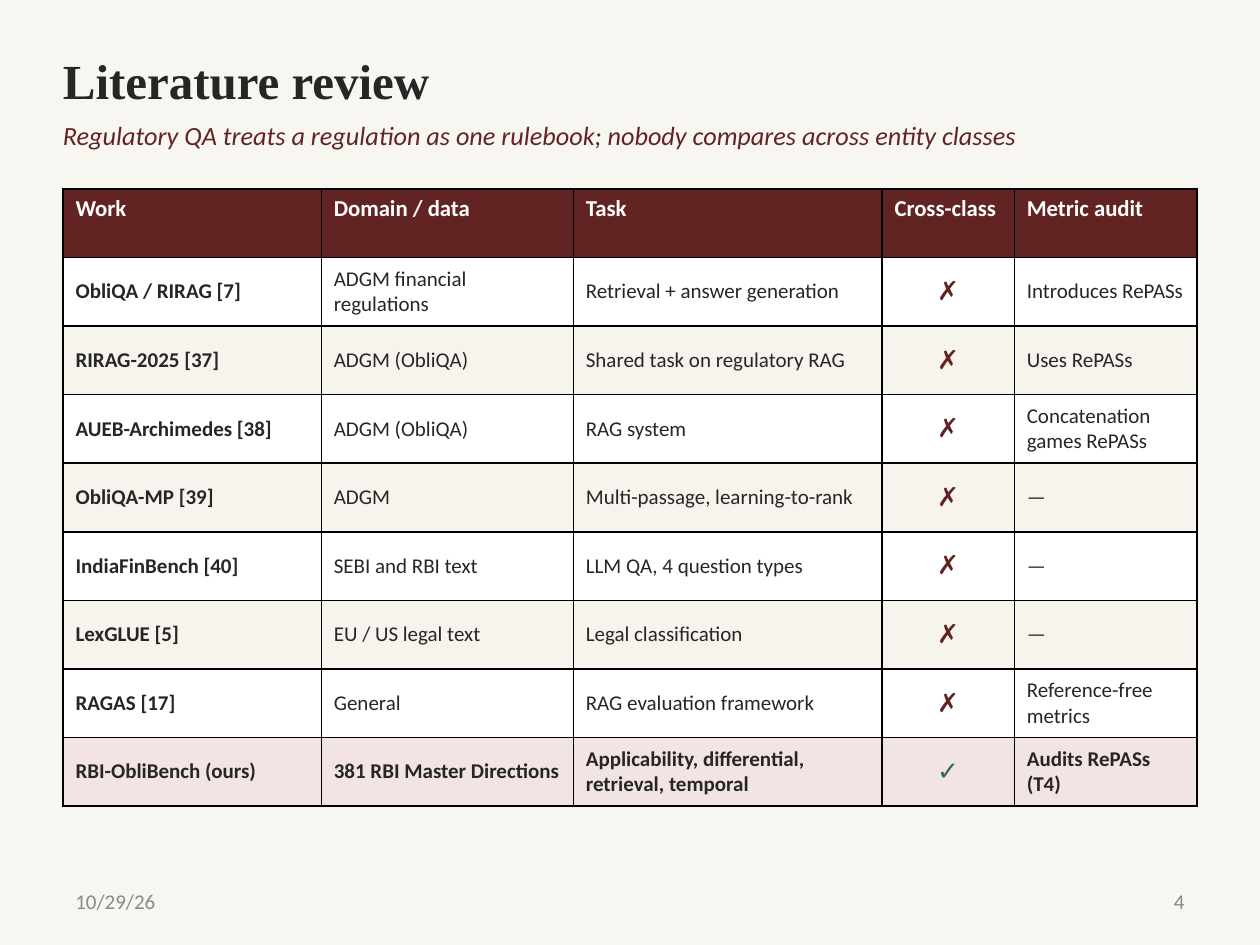
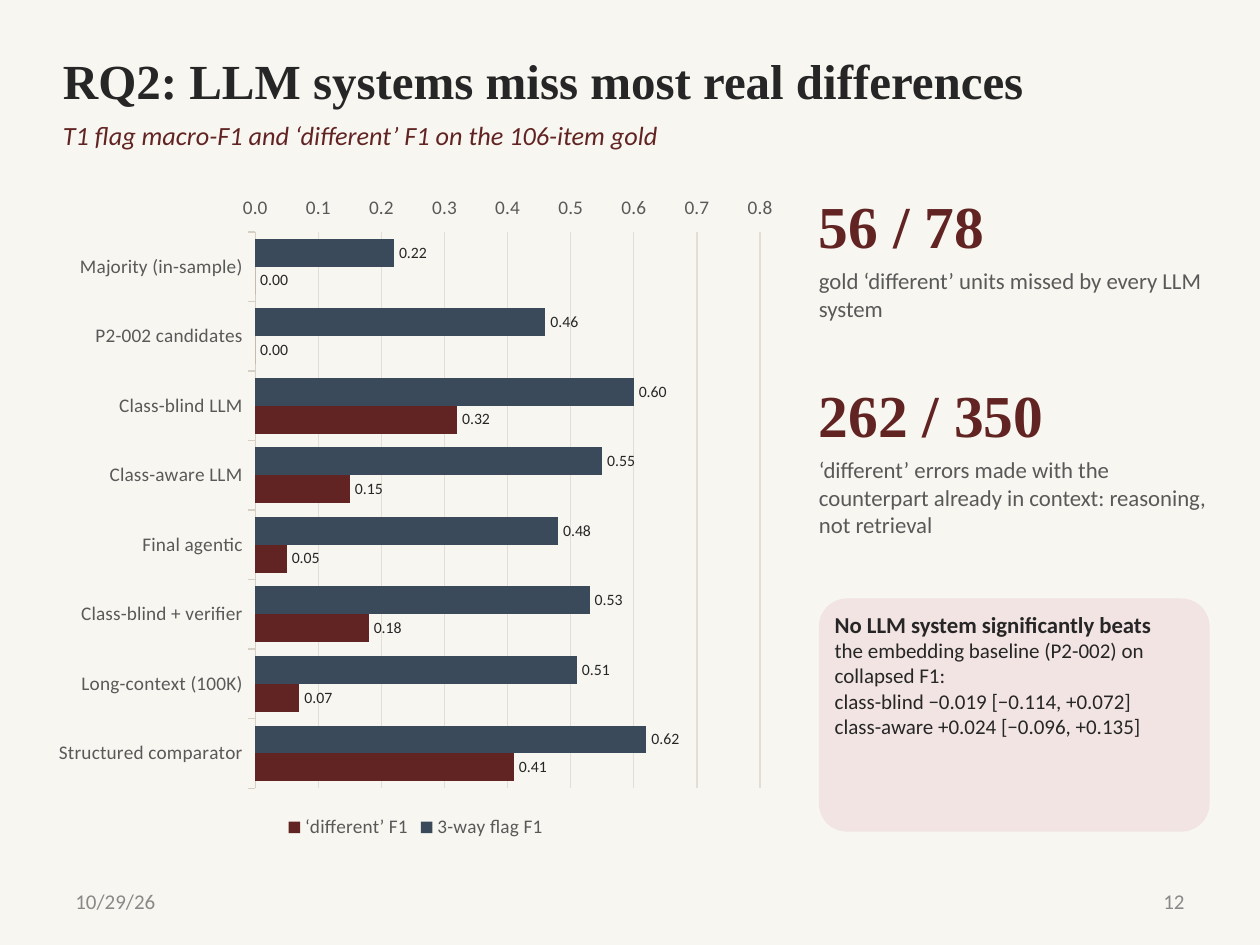
from lxml import etree
from pptx import Presentation
from pptx.chart.data import CategoryChartData
from pptx.dml.color import RGBColor
from pptx.enum.chart import (XL_CHART_TYPE, XL_LABEL_POSITION, XL_LEGEND_POSITION,
                             XL_TICK_LABEL_POSITION, XL_TICK_MARK)
from pptx.enum.shapes import MSO_SHAPE
from pptx.enum.text import MSO_ANCHOR, PP_ALIGN
from pptx.oxml.ns import qn
from pptx.util import Inches, Pt

LEFT, CENTER, RIGHT = PP_ALIGN.LEFT, PP_ALIGN.CENTER, PP_ALIGN.RIGHT
TOP, MIDDLE = MSO_ANCHOR.TOP, MSO_ANCHOR.MIDDLE
OUTSIDE, OUT_END = XL_TICK_MARK.OUTSIDE, XL_LABEL_POSITION.OUTSIDE_END

PAPER = RGBColor(0xF7, 0xF6, 0xF0)
MAROON = RGBColor(0x62, 0x24, 0x23)
SLATE = RGBColor(0x3B, 0x4A, 0x5A)
INK = RGBColor(0x26, 0x26, 0x26)
GRAY = RGBColor(0x59, 0x59, 0x59)
FOOTER_GRAY = RGBColor(0x89, 0x89, 0x89)
WHITE = RGBColor(0xFF, 0xFF, 0xFF)
CREAM = RGBColor(0xF7, 0xF4, 0xEE)
ROSE = RGBColor(0xF1, 0xE4, 0xE2)
GREEN = RGBColor(0x2E, 0x6B, 0x4F)
AXIS_LINE = RGBColor(0xD6, 0xD0, 0xC4)
GRID_LINE = RGBColor(0xE2, 0xDE, 0xD5)
SANS, SERIF = "Calibri", "Times New Roman"


def write(tf, text, size=12, color=INK, font=SANS, bold=False, italic=False, align=LEFT):
    """Fill the empty first paragraph of tf, or add a new one after it."""
    p = tf.paragraphs[0]
    if p.runs:
        p = tf.add_paragraph()
    p.alignment = align
    r = p.add_run()
    r.text = text
    r.font.size, r.font.name = Pt(size), font
    r.font.bold, r.font.italic = bold, italic
    r.font.color.rgb = color


def text_box(s, box, text, margins=(0, 0), anchor=TOP, **fmt):
    """margins are the side and the top/bottom insets in inches."""
    tf = s.shapes.add_textbox(*map(Inches, box)).text_frame
    tf.word_wrap = True
    tf.vertical_anchor = anchor
    tf.margin_left = tf.margin_right = Inches(margins[0])
    tf.margin_top = tf.margin_bottom = Inches(margins[1])
    write(tf, text, **fmt)


prs = Presentation()
prs.slide_width, prs.slide_height = Inches(10), Inches(7.5)

# Shared frame: background, footer, title and subtitle
frames = [
    ("4", "Literature review",
     "Regulatory QA treats a regulation as one rulebook; nobody compares across entity classes"),
    ("12", "RQ2: LLM systems miss most real differences",
     "T1 flag macro-F1 and ‘different’ F1 on the 106-item gold"),
]
slides = []
for number, title, subtitle in frames:
    s = prs.slides.add_slide(prs.slide_layouts[6])
    s.background.fill.solid()
    s.background.fill.fore_color.rgb = PAPER
    for x, text, align in [(0.5, "10/29/26", LEFT), (7.17, number, RIGHT)]:
        text_box(s, (x, 6.95, 2.33, 0.4), text, margins=(0.1, 0.05), anchor=MIDDLE,
                 color=FOOTER_GRAY, align=align)
    text_box(s, (0.5, 0.32, 9, 0.62), title, margins=(0, 0.05), anchor=MIDDLE,
             size=28, font=SERIF, bold=True)
    text_box(s, (0.5, 0.95, 9, 0.42), subtitle, size=15, color=MAROON, italic=True)
    slides.append(s)
review, results = slides

# Literature table
rows = [
    ("Work", "Domain / data", "Task", "Cross-class", "Metric audit"),
    ("ObliQA / RIRAG [7]", "ADGM financial regulations", "Retrieval + answer generation",
     "✗", "Introduces RePASs"),
    ("RIRAG-2025 [37]", "ADGM (ObliQA)", "Shared task on regulatory RAG", "✗", "Uses RePASs"),
    ("AUEB-Archimedes [38]", "ADGM (ObliQA)", "RAG system", "✗", "Concatenation games RePASs"),
    ("ObliQA-MP [39]", "ADGM", "Multi-passage, learning-to-rank", "✗", "—"),
    ("IndiaFinBench [40]", "SEBI and RBI text", "LLM QA, 4 question types", "✗", "—"),
    ("LexGLUE [5]", "EU / US legal text", "Legal classification", "✗", "—"),
    ("RAGAS [17]", "General", "RAG evaluation framework", "✗", "Reference-free metrics"),
    ("RBI-ObliBench (ours)", "381 RBI Master Directions",
     "Applicability, differential, retrieval, temporal", "✓", "Audits RePASs (T4)"),
]
mark_colors = {"✗": MAROON, "✓": GREEN}
table = review.shapes.add_table(len(rows), len(rows[0]), Inches(0.5), Inches(1.5),
                                Inches(9), Inches(4.9)).table
for col, width in zip(table.columns, (2.05, 2, 2.45, 1.05, 1.45)):
    col.width = Inches(width)
last = len(rows) - 1
for i, row in enumerate(rows):
    row_fill = MAROON if i == 0 else ROSE if i == last else WHITE if i % 2 else CREAM
    for j, text in enumerate(row):
        cell = table.cell(i, j)
        tcPr = cell._tc.get_or_add_tcPr()
        for side in ("a:lnL", "a:lnR", "a:lnT", "a:lnB"):
            ln = etree.SubElement(tcPr, qn(side), w=str(Pt(1)))
            line_fill = etree.SubElement(ln, qn("a:solidFill"))
            etree.SubElement(line_fill, qn("a:srgbClr"), val="000000")
        cell.fill.solid()
        cell.fill.fore_color.rgb = row_fill
        if i == 0:
            write(cell.text_frame, text, size=13, color=WHITE, bold=True)
            continue
        cell.vertical_anchor = MIDDLE
        cell.margin_top = cell.margin_bottom = Inches(0.04)
        if text in mark_colors:
            write(cell.text_frame, text, size=15, color=mark_colors[text], bold=i == last,
                  align=CENTER)
        else:
            write(cell.text_frame, text, bold=j == 0 or i == last)

# F1 chart
data = CategoryChartData()
data.categories = ["Majority (in-sample)", "P2-002 candidates", "Class-blind LLM",
                   "Class-aware LLM", "Final agentic", "Class-blind + verifier",
                   "Long-context (100K)", "Structured comparator"]
data.add_series("3-way flag F1", (0.22, 0.46, 0.60, 0.55, 0.48, 0.53, 0.51, 0.62))
data.add_series("‘different’ F1", (0, 0, 0.32, 0.15, 0.05, 0.18, 0.07, 0.41))
chart = results.shapes.add_chart(XL_CHART_TYPE.BAR_CLUSTERED, Inches(0.35), Inches(1.45),
                                 Inches(5.9), Inches(5.25), data).chart
chart.has_title = False
chart.font.size, chart.font.name = Pt(11), SANS
chart.font.color.rgb = GRAY
chart.has_legend = True
chart.legend.position = XL_LEGEND_POSITION.BOTTOM
chart.legend.include_in_layout = False
chart.legend.font.size = Pt(11)

cat_axis, val_axis = chart.category_axis, chart.value_axis
cat_axis.reverse_order = True
cat_axis.has_major_gridlines = False
cat_axis.major_tick_mark = OUTSIDE
cat_axis.format.line.color.rgb = AXIS_LINE
cat_axis.format.line.width = Pt(0.75)
val_axis.minimum_scale, val_axis.maximum_scale, val_axis.major_unit = 0, 0.8, 0.1
val_axis.major_tick_mark = OUTSIDE
val_axis.tick_label_position = XL_TICK_LABEL_POSITION.LOW
val_axis.tick_labels.number_format = "0.0"
val_axis.tick_labels.number_format_is_linked = False
val_axis.format.line.fill.background()
val_axis.major_gridlines.format.line.color.rgb = GRID_LINE
val_axis.major_gridlines.format.line.width = Pt(0.75)

plot = chart.plots[0]
plot.gap_width, plot.overlap = 50, 0
plot.vary_by_categories = False
for series, color in zip(plot.series, (SLATE, MAROON)):
    series.format.fill.solid()
    series.format.fill.fore_color.rgb = color
    labels = series.data_labels
    labels.show_value = True
    labels.position = OUT_END
    labels.number_format, labels.number_format_is_linked = "0.00", False
    labels.font.size, labels.font.name = Pt(9), SANS
    labels.font.color.rgb = INK

# Key figures beside the chart
key_figures = [
    ("56 / 78", "gold ‘different’ units missed by every LLM system"),
    ("262 / 350", "‘different’ errors made with the counterpart already in context: "
                  "reasoning, not retrieval"),
]
for i, (figure, caption) in enumerate(key_figures):
    y = 1.5 + 1.5 * i
    text_box(results, (6.5, y, 3.1, 0.62), figure, size=34, color=MAROON, font=SERIF, bold=True)
    text_box(results, (6.5, y + 0.62, 3.1, 0.5), caption, size=13, color=GRAY)

# Callout
callout = results.shapes.add_shape(MSO_SHAPE.ROUNDED_RECTANGLE, Inches(6.5), Inches(4.75),
                                   Inches(3.1), Inches(1.85))
callout.adjustments[0] = 0.12
callout.shadow.inherit = False
callout.fill.solid()
callout.fill.fore_color.rgb = ROSE
callout.line.fill.background()
tf = callout.text_frame
tf.word_wrap = True
tf.vertical_anchor = TOP
tf.margin_left = tf.margin_right = Inches(0.06)
tf.margin_top = tf.margin_bottom = Inches(0.03)
write(tf, "No LLM system significantly beats", size=13, bold=True)
for text in ("the embedding baseline (P2-002) on collapsed F1:",
             "class-blind −0.019 [−0.114, +0.072]",
             "class-aware +0.024 [−0.096, +0.135]"):
    write(tf, text)

prs.save("out.pptx")
